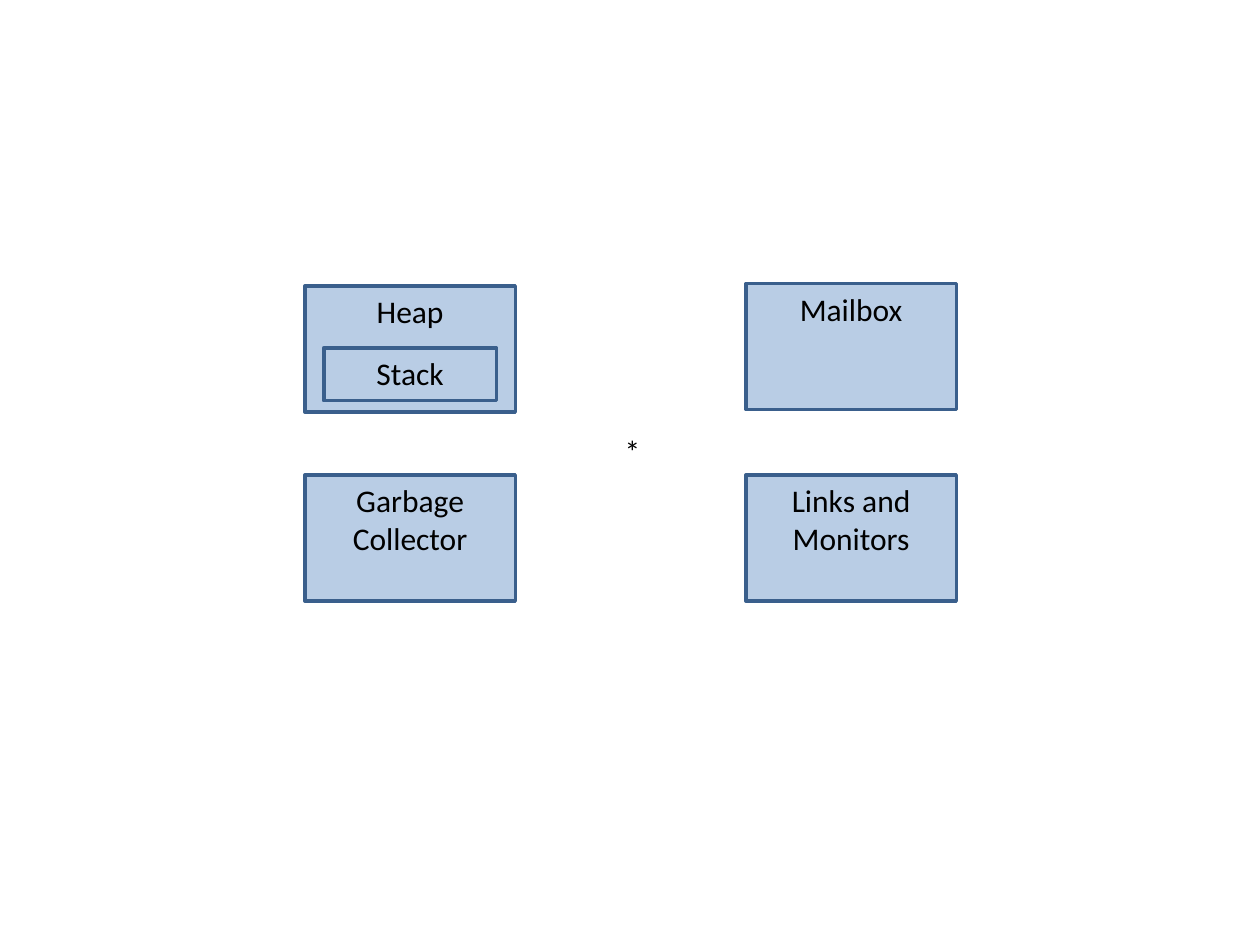
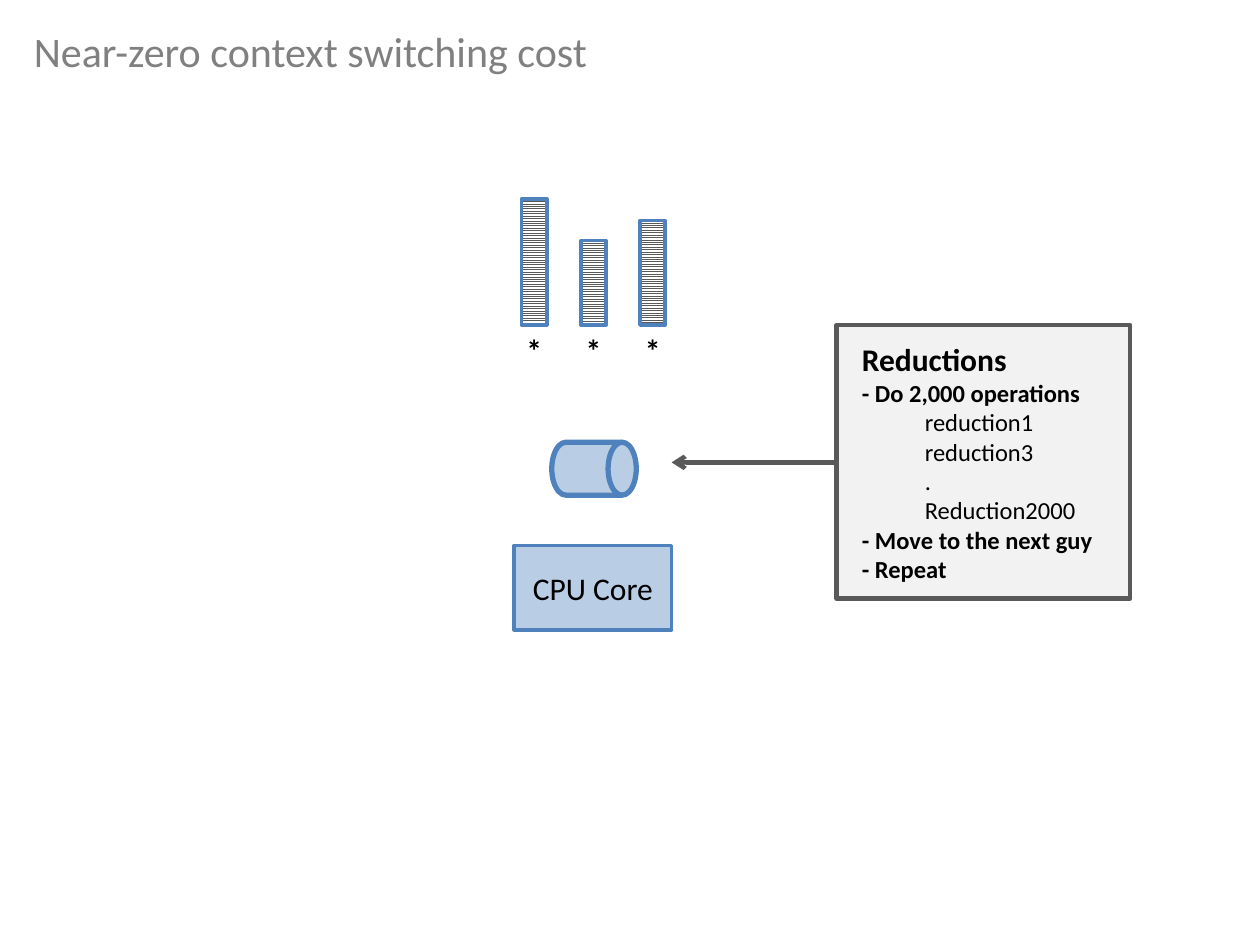
import pptx
import pptx.util
import pptx.dml.color
import pptx.enum.dml
import pptx.enum.shapes
import pptx.enum.text
import pptx.oxml.ns
import lxml.etree

SHAPE = pptx.enum.shapes.MSO_SHAPE
ALIGN = pptx.enum.text.PP_ALIGN
ANCHOR = pptx.enum.text.MSO_ANCHOR
Inches = pptx.util.Inches

# Shared look
FONT = "Calibri"
BLACK, WHITE, TITLE_GRAY = "000000", "FFFFFF", "808080"
LIGHT_BLUE, BLUE, DARK_BLUE = "B9CDE5", "4F81BD", "3A5F8C"
PALE_GRAY, DARK_GRAY = "F2F2F2", "595959"


def rgb(value):
    return pptx.dml.color.RGBColor.from_string(value)


def style_text(p, text, size=18, color=BLACK, bold=False, align=ALIGN.LEFT):
    p.text = text
    p.alignment = align
    p.font.name = FONT
    p.font.size = pptx.util.Pt(size)
    p.font.bold = bold
    p.font.color.rgb = rgb(color)


def add_shape(slide, kind, box, fill, line, width=2):
    sp = slide.shapes.add_shape(kind, *map(Inches, box))
    sp.shadow.inherit = False
    sp.fill.solid()
    sp.fill.fore_color.rgb = rgb(fill)
    sp.line.color.rgb = rgb(line)
    sp.line.width = pptx.util.Pt(width)
    return sp


def add_box(slide, text, box, line, anchor=ANCHOR.TOP):
    sp = add_shape(slide, SHAPE.RECTANGLE, box, LIGHT_BLUE, line)
    sp.text_frame.vertical_anchor = anchor
    style_text(sp.text_frame.paragraphs[0], text, align=ALIGN.CENTER)


def add_label(slide, text, box, wrap=True, **style):
    tf = slide.shapes.add_textbox(*map(Inches, box)).text_frame
    tf.word_wrap = wrap
    style_text(tf.paragraphs[0], text, **style)


def add_queue(slide, left, bottom, height):
    """A striped run queue standing on the baseline, with its process below."""
    sp = add_shape(slide, SHAPE.RECTANGLE, (left, bottom - height, 0.2, height), WHITE, BLUE)
    sp.fill.patterned()
    sp.fill.pattern = pptx.enum.dml.MSO_PATTERN.LIGHT_HORIZONTAL
    sp.fill.fore_color.rgb = rgb(DARK_GRAY)
    sp.fill.back_color.rgb = rgb(WHITE)
    add_label(slide, "*", (left - 0.06, bottom, 0.31, 0.4), wrap=False, bold=True)


def add_arrow(slide, start, end):
    c = slide.shapes.add_connector(
        pptx.enum.shapes.MSO_CONNECTOR.STRAIGHT, *map(Inches, start + end))
    c.line.color.rgb = rgb(DARK_GRAY)
    c.line.width = pptx.util.Pt(2.5)
    qn = pptx.oxml.ns.qn
    lxml.etree.SubElement(c.line._get_or_add_ln(), qn("a:tailEnd"), type="arrow")
    lxml.etree.SubElement(c._element.spPr, qn("a:effectLst"))


def add_note(slide, box, rows):
    """A gray note; each row is (text, size, bold, indent level)."""
    sp = add_shape(slide, SHAPE.FLOWCHART_PROCESS, box, PALE_GRAY, DARK_GRAY, 2.5)
    tf = sp.text_frame
    tf.vertical_anchor = ANCHOR.MIDDLE
    tf.margin_left = Inches(0.2)
    for i, (text, size, bold, level) in enumerate(rows):
        p = tf.add_paragraph() if i else tf.paragraphs[0]
        p.level = level
        pPr = p._p.get_or_add_pPr()
        pPr.set("marL", str(Inches(0.5 * level)))
        pPr.set("indent", "0")
        style_text(p, text, size, bold=bold)


def build_process(slide):
    # Two columns of process parts around the process itself
    left, right, top, bottom = 2.42, 5.92, 2.27, 3.77
    parts = [("Heap", left, top), ("Garbage Collector", left, bottom),
             ("Mailbox", right, top - 0.02), ("Links and Monitors", right, bottom)]
    for text, x, y in parts:
        add_box(slide, text, (x, y, 1.67, 1), DARK_BLUE)
    add_box(slide, "Stack", (left + 0.15, top + 0.49, 1.37, 0.42), DARK_BLUE)
    add_label(slide, "*", (4.86, 3.38, 0.3, 0.4))


def build_scheduler(slide):
    add_label(slide, "Near-zero context switching cost", (0.17, 0.15, 9.5, 0.5),
              size=24, color=TITLE_GRAY)

    # Run queues, scheduler and core
    for i, height in enumerate((1, 0.67, 0.83)):
        add_queue(slide, 4.14 + 0.47 * i, 2.58, height)
    add_shape(slide, SHAPE.FLOWCHART_DIRECT_ACCESS_STORAGE, (4.38, 3.51, 0.67, 0.42),
              LIGHT_BLUE, BLUE, 3)
    add_box(slide, "CPU Core", (4.08, 4.33, 1.25, 0.67), BLUE, ANCHOR.MIDDLE)

    # Explanation pointing at the scheduler
    add_note(slide, (6.64, 2.58, 2.33, 2.17), [
        ("Reductions", 18, True, 0),
        ("- Do 2,000 operations", 14, True, 0),
        ("reduction1\vreduction3\v.", 14, False, 1),
        ("Reduction2000", 14, False, 1),
        ("- Move to the next guy\v- Repeat", 14, True, 0),
    ])
    add_arrow(slide, (6.64, 3.67), (5.33, 3.67))


def main():
    prs = pptx.Presentation()
    prs.slide_width, prs.slide_height = Inches(10), Inches(7.5)
    for build in (build_process, build_scheduler):
        build(prs.slides.add_slide(prs.slide_layouts[6]))
    prs.save("out.pptx")


if __name__ == "__main__":
    main()
